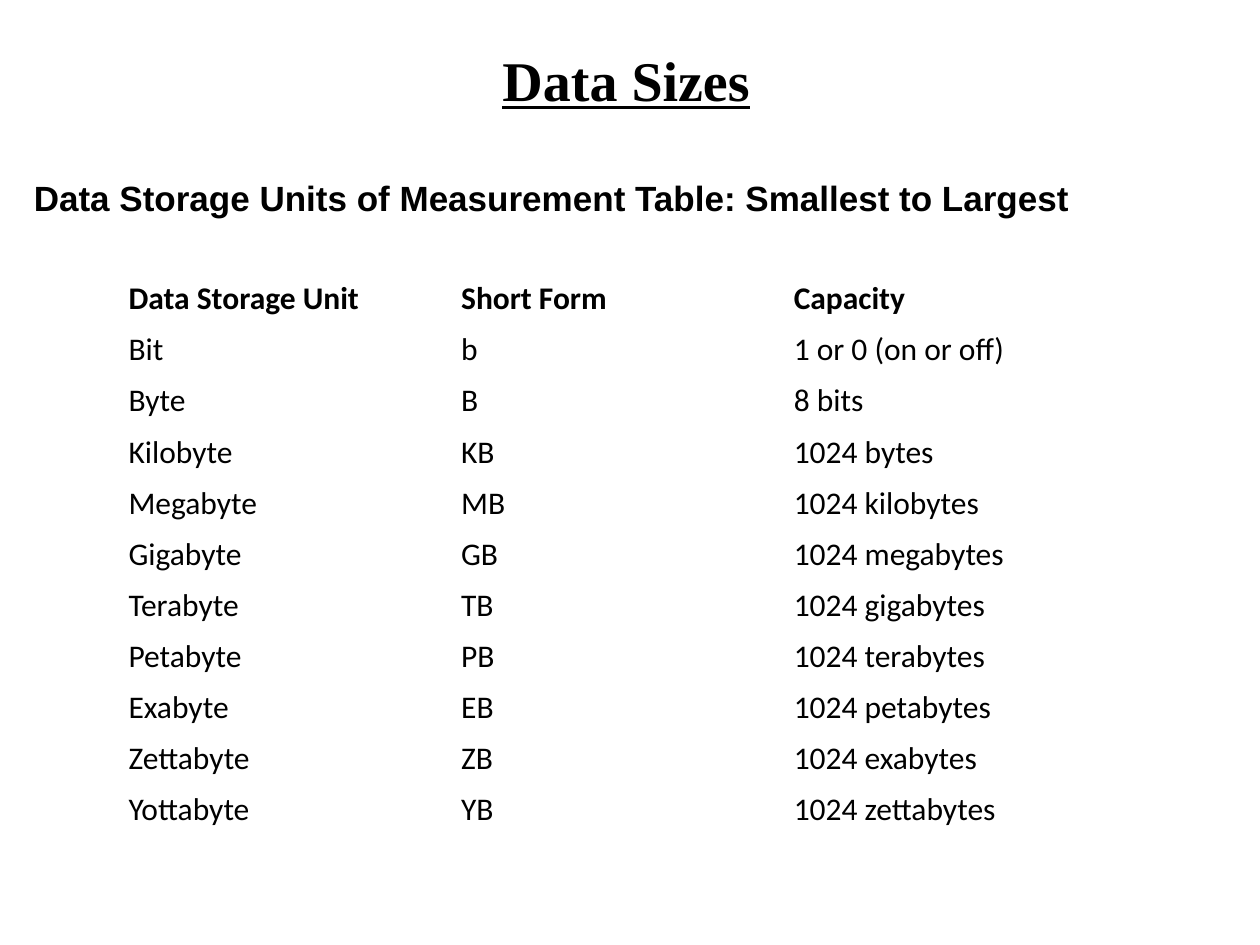
from dataclasses import dataclass
from pptx import Presentation
from pptx.dml.color import RGBColor
from pptx.enum.shapes import MSO_SHAPE
from pptx.enum.text import MSO_ANCHOR, PP_ALIGN
from pptx.util import Inches, Pt


@dataclass(frozen=True)
class Theme:
    ink: RGBColor = RGBColor(0, 0, 0)
    paper: RGBColor = RGBColor(255, 255, 255)
    title: Pt = Pt(32)
    head: Pt = Pt(20)
    cell: Pt = Pt(18)


theme = Theme()


def style(para, face, size, bold):
    font = para.font
    font.name, font.size, font.bold = face, size, bold
    font.color.rgb = theme.ink


def paint(item):
    item.fill.solid()
    item.fill.fore_color.rgb = theme.paper


deck = Presentation()
deck.slide_width, deck.slide_height = Inches(10), Inches(7.5)
slide = deck.slides.add_slide(deck.slide_layouts[5])

title = slide.shapes.title
title.left, title.top = Inches(3.17), Inches(0.33)
title.width, title.height = Inches(3.6), Inches(0.55)
frame = title.text_frame
frame.text = "Data Sizes"
frame.vertical_anchor = MSO_ANCHOR.TOP
frame.margin_left = frame.margin_right = frame.margin_bottom = 0
frame.margin_top = Inches(0.03)
para = frame.paragraphs[0]
para.alignment = PP_ALIGN.CENTER
style(para, "Times New Roman", theme.title, True)
para.font.underline = True

units = [
    ("Data Storage Unit", "Short Form", "Capacity"),
    ("Bit", "b", "1 or 0 (on or off)"),
    ("Byte", "B", "8 bits"),
    ("Kilobyte", "KB", "1024 bytes"),
    ("Megabyte", "MB", "1024 kilobytes"),
    ("Gigabyte", "GB", "1024 megabytes"),
    ("Terabyte", "TB", "1024 gigabytes"),
    ("Petabyte", "PB", "1024 terabytes"),
    ("Exabyte", "EB", "1024 petabytes"),
    ("Zettabyte", "ZB", "1024 exabytes"),
    ("Yottabyte", "YB", "1024 zettabytes"),
]
table = slide.shapes.add_table(
    len(units), 3, Inches(0.92), Inches(2.17), Inches(7.92), Inches(0.4 * len(units))
).table
table.first_row = table.horz_banding = False
for row, unit in enumerate(units):
    for col, text in enumerate(unit):
        cell = table.cell(row, col)
        cell.text = text
        paint(cell)
        if row == 0:
            cell.vertical_anchor = MSO_ANCHOR.MIDDLE
        style(cell.text_frame.paragraphs[0], "Calibri", theme.cell, row == 0)

head = slide.shapes.add_shape(
    MSO_SHAPE.RECTANGLE, Inches(0.17), Inches(1.24), Inches(9), Inches(1.03)
)
head.shadow.inherit = False
paint(head)
head.line.fill.background()
frame = head.text_frame
frame.text = "Data Storage Units of Measurement Table: Smallest to Largest"
frame.word_wrap = True
frame.vertical_anchor = MSO_ANCHOR.MIDDLE
frame.margin_top, frame.margin_bottom = 0, Inches(0.37)
para = frame.paragraphs[0]
para.alignment = PP_ALIGN.LEFT
style(para, "Arial", theme.head, True)

deck.save("out.pptx")
